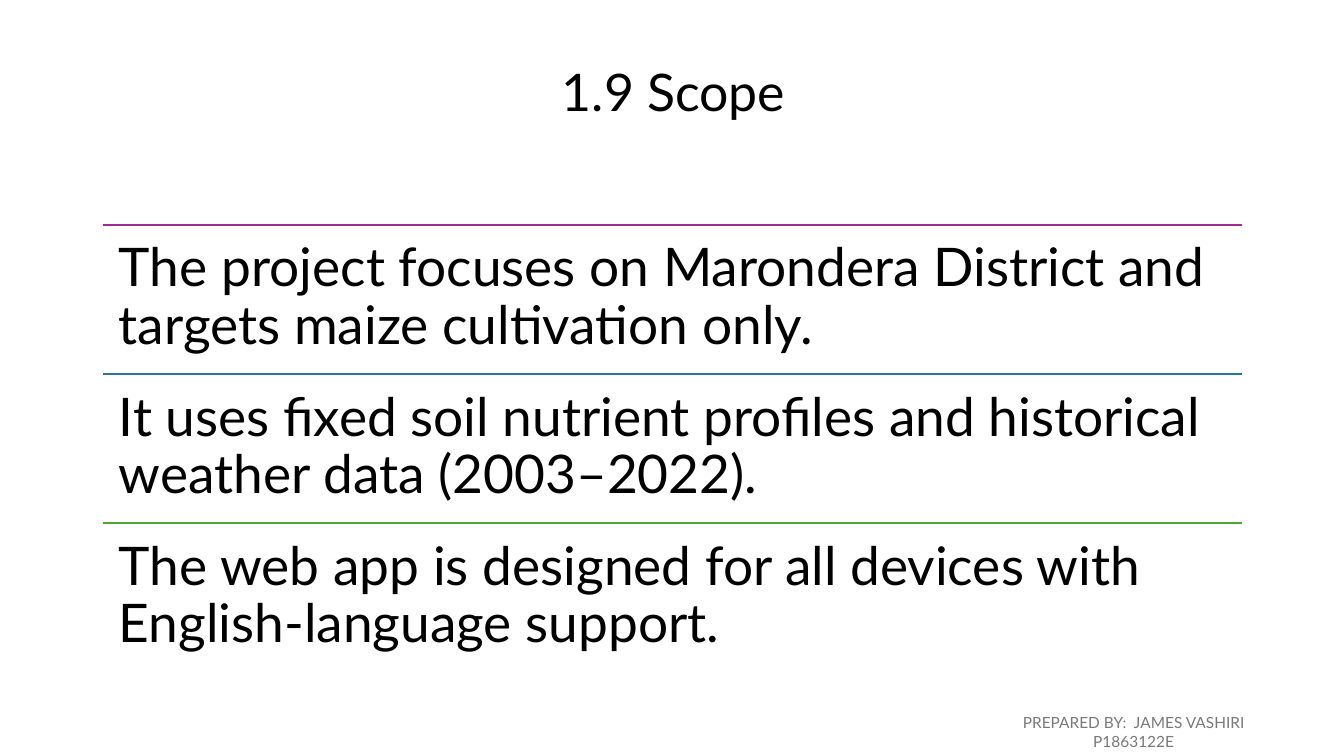
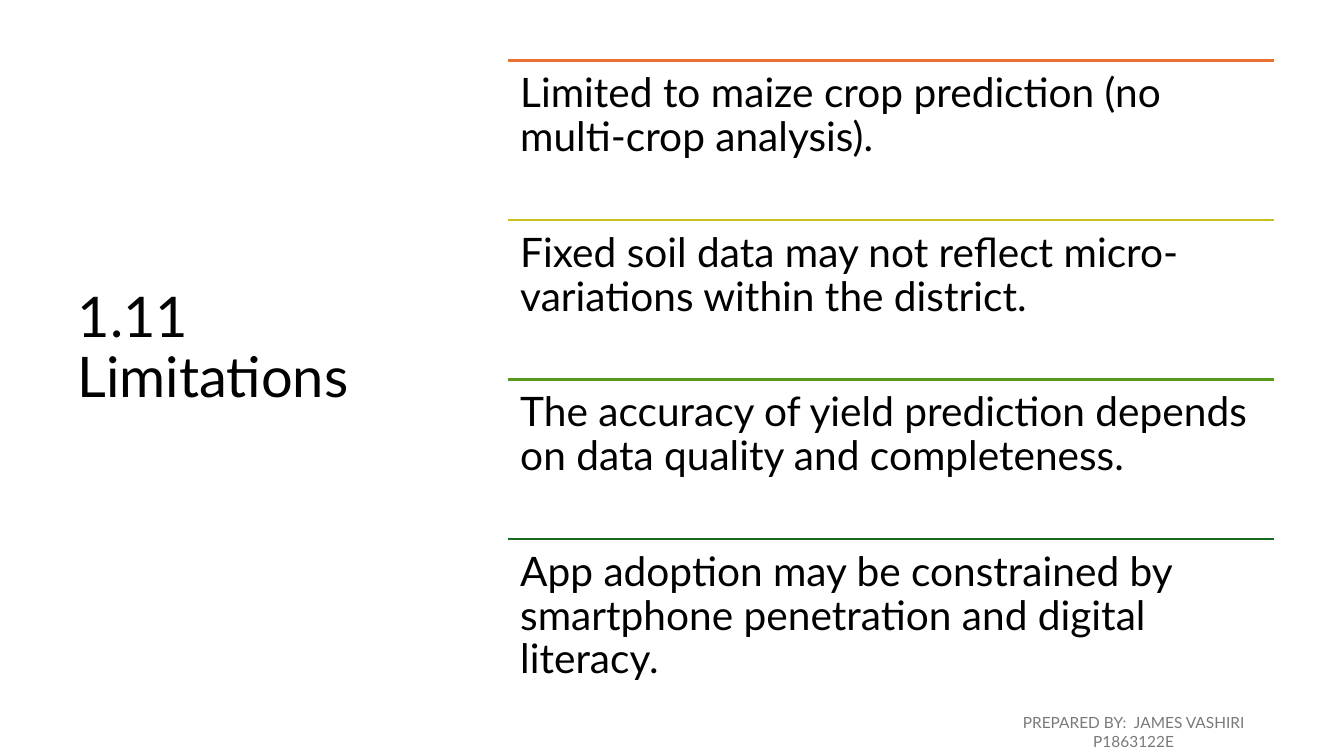
from dataclasses import dataclass

from lxml import etree
from pptx import Presentation
from pptx.dml.color import RGBColor
from pptx.enum.shapes import MSO_CONNECTOR
from pptx.enum.text import MSO_ANCHOR, MSO_AUTO_SIZE, PP_ALIGN
from pptx.oxml.ns import qn
from pptx.util import Inches, Pt

STRAIGHT = MSO_CONNECTOR.STRAIGHT
TOP, MIDDLE = MSO_ANCHOR.TOP, MSO_ANCHOR.MIDDLE
LEFT, CENTER = PP_ALIGN.LEFT, PP_ALIGN.CENTER
NO_FIT = MSO_AUTO_SIZE.NONE
TITLE_ONLY = 5


@dataclass(frozen=True)
class Theme:
    """Type, colours and sizes shared by the slides."""
    font: str = "Lato"
    text: str = "000000"
    muted: str = "797979"
    footer_size: int = 11
    rule_width: float = 1.5
    line_spacing: float = 0.9


THEME = Theme()
FOOTER_BOX = (9.71, 7.06, 3.07, 0.4)
FOOTER = "PREPARED BY:  JAMES VASHIRI P1863122E"

SCOPE = [
    ("A02B93", "The project focuses on Marondera District and targets maize cultivation only."),
    ("2C71A4", "It uses fixed soil nutrient profiles and historical weather data (2003–2022)."),
    ("4EA72E", "The web app is designed for all devices with English-language support."),
]
LIMITATIONS = [
    ("E97132", "Limited to maize crop prediction (no multi-crop analysis)."),
    ("CBC11E", "Fixed soil data may not reflect micro-variations within the district."),
    ("56991D", "The accuracy of yield prediction depends on data quality and completeness."),
    ("196B24", "App adoption may be constrained by smartphone penetration and digital literacy."),
]


def write(sp, text, size, color=THEME.text, align=LEFT, anchor=TOP,
          insets=(0.1, 0.05, 0.1, 0.05), spacing=THEME.line_spacing):
    """Put one formatted paragraph in a shape."""
    tf = sp.text_frame
    tf.word_wrap = True
    tf.auto_size = NO_FIT
    tf.vertical_anchor = anchor
    tf.margin_left, tf.margin_top, tf.margin_right, tf.margin_bottom = map(Inches, insets)
    p = tf.paragraphs[0]
    p.alignment = align
    p.line_spacing = spacing
    r = p.add_run()
    r.text = text
    r.font.name = THEME.font
    r.font.size = Pt(size)
    r.font.color.rgb = RGBColor.from_string(color)


def add_title(s, box, text, size, align):
    """Place the title, raised by half a line within its box."""
    sp = s.shapes.title
    sp.left, sp.top, sp.width, sp.height = map(Inches, box)
    raised = 0.05 + size * 0.015
    write(sp, text, size, align=align, anchor=MIDDLE, insets=(0.1, 0.05, 0.1, raised))


def add_footer(s):
    """Add the author line."""
    sp = s.shapes.add_textbox(*map(Inches, FOOTER_BOX))
    write(sp, FOOTER, THEME.footer_size, THEME.muted, CENTER, MIDDLE, spacing=1.0)


def add_rule(shapes, x, y, width, color):
    """Draw a horizontal coloured rule."""
    rule = shapes.add_connector(STRAIGHT, Inches(x), Inches(y), Inches(x + width), Inches(y))
    rule.line.color.rgb = RGBColor.from_string(color)
    rule.line.width = Pt(THEME.rule_width)
    etree.SubElement(rule._element.spPr, qn("a:effectLst"))


def add_ruled_list(s, box, items, size, inset):
    """Divide the box into equal rows, each under a coloured rule."""
    x, y, width, height = box
    row_height = height / len(items)
    shapes = s.shapes.add_group_shape().shapes
    for i, (color, text) in enumerate(items):
        top = y + i * row_height
        add_rule(shapes, x, top, width, color)
        sp = shapes.add_textbox(Inches(x), Inches(top), Inches(width), Inches(row_height))
        write(sp, text, size, insets=(inset,) * 4)


def add_list_slide(prs, title, title_box, title_size, align, items, list_box, size, inset):
    """Add a slide with a title, a ruled list and the footer."""
    s = prs.slides.add_slide(prs.slide_layouts[TITLE_ONLY])
    add_title(s, title_box, title, title_size, align)
    add_footer(s)
    add_ruled_list(s, list_box, items, size, inset)


def main():
    """Build and save the presentation."""
    prs = Presentation()
    prs.slide_width, prs.slide_height = Inches(13.33), Inches(7.5)
    add_list_slide(prs, "1.9 Scope", (1.67, 0.6, 10.02, 1.24), 37, CENTER,
                   SCOPE, (1.02, 2.23, 11.3, 4.44), 38, 0.16)
    add_list_slide(prs, "1.11 Limitations", (0.67, 0.6, 3.82, 6.33), 40, LEFT,
                   LIMITATIONS, (5.04, 0.6, 7.6, 6.33), 29, 0.12)
    prs.save("out.pptx")


if __name__ == "__main__":
    main()
